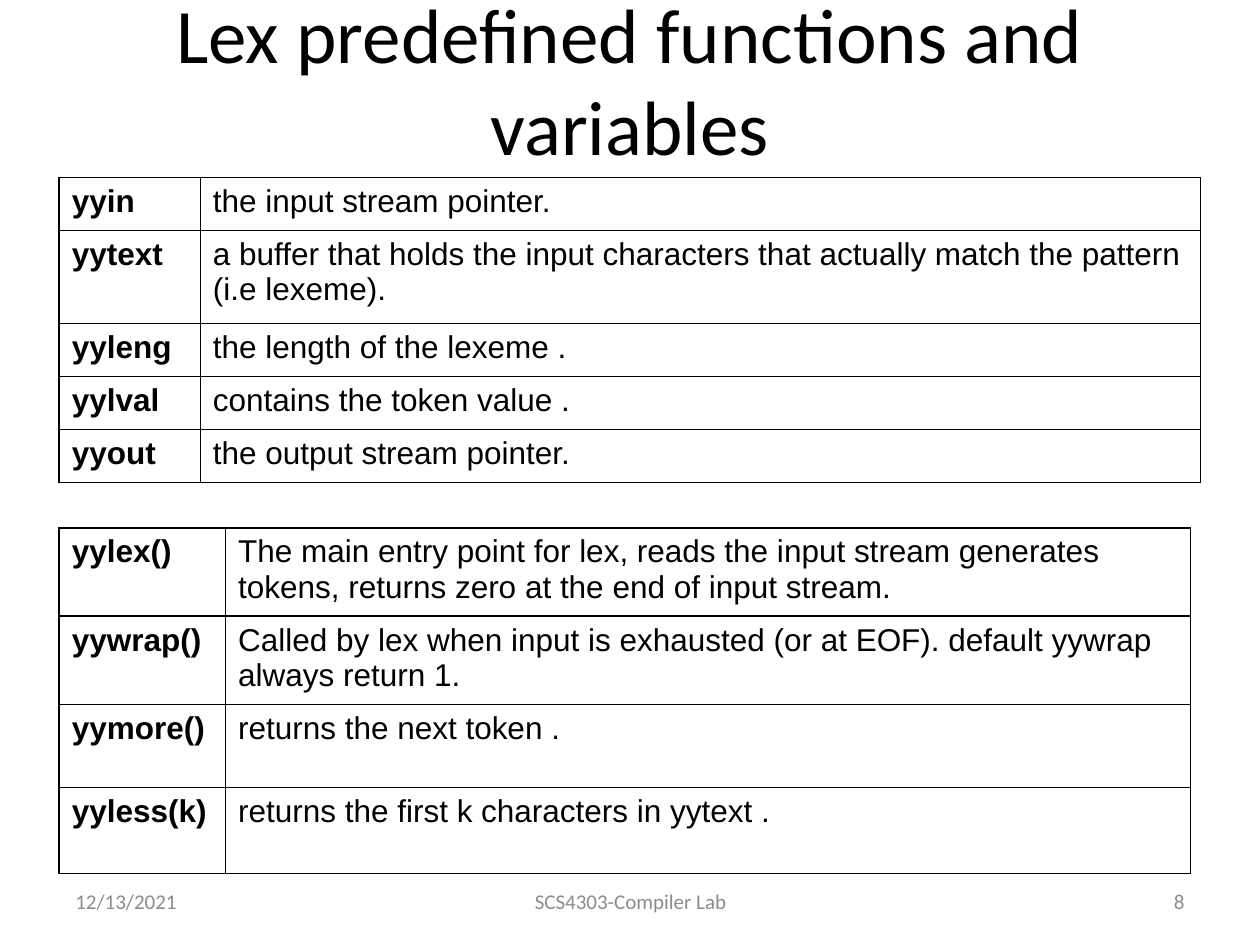
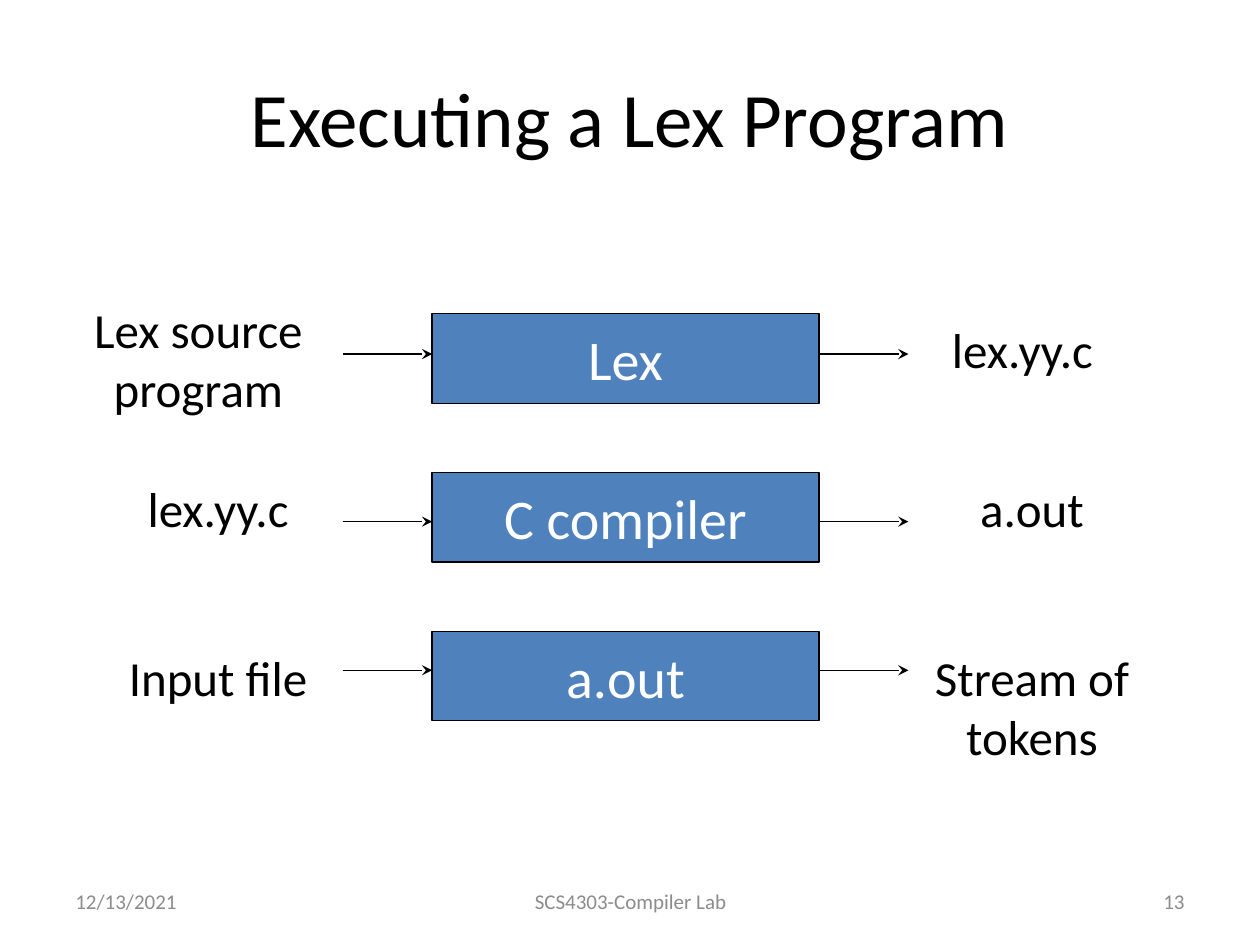
"""Builds two slides on Lex: its predefined names and how a Lex program is run."""
from dataclasses import dataclass

from lxml import etree
from pptx import Presentation
from pptx.dml.color import RGBColor
from pptx.enum.shapes import MSO_CONNECTOR, MSO_SHAPE
from pptx.enum.text import MSO_ANCHOR, PP_ALIGN
from pptx.oxml.ns import qn
from pptx.util import Pt

LEFT, CENTER, RIGHT = PP_ALIGN.LEFT, PP_ALIGN.CENTER, PP_ALIGN.RIGHT
TOP, MIDDLE = MSO_ANCHOR.TOP, MSO_ANCHOR.MIDDLE
RECTANGLE = MSO_SHAPE.RECTANGLE
STRAIGHT = MSO_CONNECTOR.STRAIGHT
EMU_PER_PX = 9144


@dataclass(frozen=True)
class Theme:
    ink: str = "000000"
    paper: str = "FFFFFF"
    accent: str = "4F81BD"
    muted: str = "8C8C8C"
    body_font: str = "Calibri"
    table_font: str = "Arial"
    title_size: int = 44
    stage_size: int = 32
    label_size: int = 28
    table_size: int = 18
    footer_size: int = 12
    line_width: float = 0.75
    border_width: float = 1


def px(length):
    return length * EMU_PER_PX


class Deck:
    def __init__(self, theme):
        self.theme = theme
        self.presentation = Presentation()
        self.presentation.slide_width = px(1000)
        self.presentation.slide_height = px(750)
        self.slide = None

    def new_slide(self, title, title_top, number):
        self.slide = self.presentation.slides.add_slide(self.presentation.slide_layouts[6])
        theme = self.theme
        self.text(title, (50, title_top, 900, 125), theme.title_size, theme.ink, CENTER, MIDDLE)
        footer = (("12/13/2021", 50, 233, LEFT),
                  ("SCS4303-Compiler Lab", 342, 317, CENTER),
                  (number, 717, 233, RIGHT))
        for content, left, width, align in footer:
            self.text(content, (left, 695, width, 40), theme.footer_size, theme.muted, align, MIDDLE)

    def add_words(self, frame, content, size, color, align=LEFT, font=None, bold=False):
        paragraph = frame.paragraphs[0]
        paragraph.alignment = align
        run = paragraph.add_run()
        run.text = content
        run.font.name = font or self.theme.body_font
        run.font.size = Pt(size)
        run.font.bold = bold
        run.font.color.rgb = RGBColor.from_string(color)

    def text(self, content, box, size, color, align, anchor=TOP):
        frame = self.slide.shapes.add_textbox(*map(px, box)).text_frame
        frame.word_wrap = True
        frame.vertical_anchor = anchor
        self.add_words(frame, content, size, color, align)

    def label(self, content, box):
        self.text(content, box, self.theme.label_size, self.theme.ink, CENTER)

    def outline(self, line):
        line.color.rgb = RGBColor.from_string(self.theme.ink)
        line.width = Pt(self.theme.line_width)

    def stage(self, content, box):
        block = self.slide.shapes.add_shape(RECTANGLE, *map(px, box))
        block.shadow.inherit = False
        block.fill.solid()
        block.fill.fore_color.rgb = RGBColor.from_string(self.theme.accent)
        self.outline(block.line)
        block.text_frame.word_wrap = False
        block.text_frame.vertical_anchor = MIDDLE
        self.add_words(block.text_frame, content, self.theme.stage_size, self.theme.paper, CENTER)

    def arrow(self, start, end, y):
        connector = self.slide.shapes.add_connector(STRAIGHT, px(start), px(y), px(end), px(y))
        self.outline(connector.line)
        properties = connector._element.spPr
        etree.SubElement(properties.find(qn("a:ln")), qn("a:tailEnd"), type="stealth")
        etree.SubElement(properties, qn("a:effectLst"))

    def border(self, cell):
        properties = cell._tc.get_or_add_tcPr()
        for side in ("a:lnL", "a:lnR", "a:lnT", "a:lnB"):
            edge = etree.SubElement(properties, qn(side), w=str(Pt(self.theme.border_width)))
            fill = etree.SubElement(edge, qn("a:solidFill"))
            etree.SubElement(fill, qn("a:srgbClr"), val=self.theme.ink)

    def glossary(self, left, top, widths, entries):
        theme = self.theme
        height = sum(entry[2] for entry in entries)
        table = self.slide.shapes.add_table(
            len(entries), len(widths), px(left), px(top), px(sum(widths)), px(height)).table
        table.first_row = table.horz_banding = False
        for column, width in zip(table.columns, widths):
            column.width = px(width)
        for row, (name, meaning, row_height) in zip(table.rows, entries):
            row.height = px(row_height)
            for cell, content, bold in zip(row.cells, (name, meaning), (True, False)):
                self.border(cell)
                cell.fill.solid()
                cell.fill.fore_color.rgb = RGBColor.from_string(theme.paper)
                self.add_words(cell.text_frame, content, theme.table_size, theme.ink,
                               font=theme.table_font, bold=bold)


VARIABLES = (
    ("yyin", "the input stream pointer.", 42),
    ("yytext", "a buffer that holds the input characters that actually match "
               "the pattern (i.e lexeme).", 74),
    ("yyleng", "the length of the lexeme .", 42),
    ("yylval", "contains the token value .", 42),
    ("yyout", "the output stream pointer.", 42),
)
FUNCTIONS = (
    ("yylex()", "The main entry point for lex, reads the input stream generates tokens, "
                "returns zero at the end of input stream.", 70),
    ("yywrap()", "Called by lex when input is exhausted (or at EOF). "
                 "default yywrap always return 1.", 70),
    ("yymore()", "returns the next token .", 66),
    ("yyless(k)", "returns the first k characters in yytext .", 68),
)
STEPS = (
    ("Lex", 281, ("Lex source program", (51, 233, 213, 103)), ("lex.yy.c", (705, 249, 213, 57))),
    ("C compiler", 414, ("lex.yy.c", (59, 375, 228, 57)), ("a.out", (705, 375, 228, 57))),
    ("a.out", 532, ("Input file", (59, 509, 228, 57)), ("Stream of tokens", (705, 509, 228, 104))),
)


def main():
    deck = Deck(Theme())

    deck.new_slide("Lex predefined functions and variables", 0, "8")
    deck.glossary(47, 141, (112, 794), VARIABLES)
    deck.glossary(47, 419, (132, 766), FUNCTIONS)

    deck.new_slide("Executing a Lex Program", 30, "13")
    stage_left, stage_width, arrow_length = 343, 307, 71
    stage_right = stage_left + stage_width
    for index, (tool, arrow_y, source, result) in enumerate(STEPS):
        deck.stage(tool, (stage_left, 249 + 126 * index, stage_width, 71))
        deck.label(*source)
        deck.label(*result)
        deck.arrow(stage_left - arrow_length, stage_left, arrow_y)
        deck.arrow(stage_right, stage_right + arrow_length, arrow_y)

    deck.presentation.save("out.pptx")


if __name__ == "__main__":
    main()
